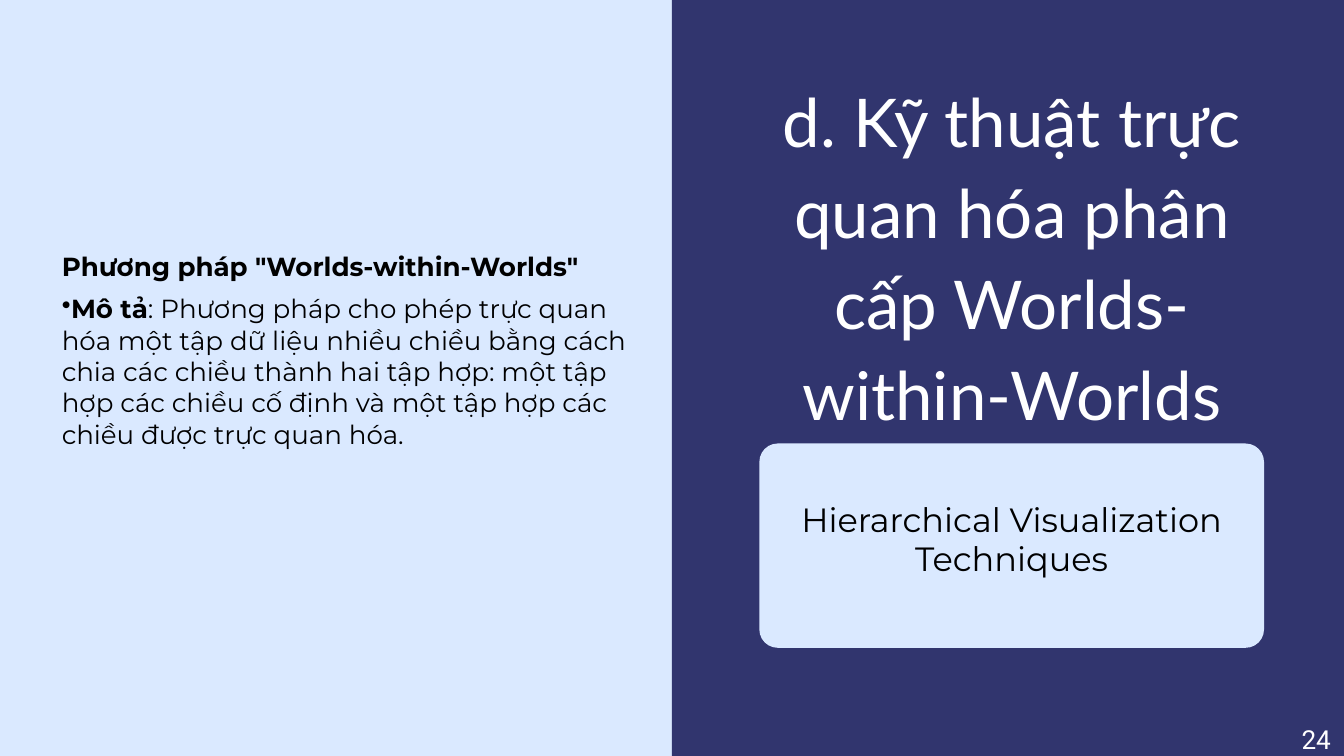
import pptx
import pptx.dml.color
import pptx.enum.shapes
import pptx.enum.text
import pptx.oxml.ns
import pptx.util
from dataclasses import dataclass
from lxml import etree

Inches = pptx.util.Inches
Pt = pptx.util.Pt
MSO_SHAPE = pptx.enum.shapes.MSO_SHAPE
MSO_ANCHOR = pptx.enum.text.MSO_ANCHOR
MSO_AUTO_SIZE = pptx.enum.text.MSO_AUTO_SIZE
PP_ALIGN = pptx.enum.text.PP_ALIGN


@dataclass(frozen=True)
class Theme:
    pale: str = "DAE9FF"
    navy: str = "31356E"
    black: str = "000000"
    white: str = "FFFFFF"
    heading: str = "Lato"
    body: str = "Montserrat"
    number: str = "Roboto"
    title_size: int = 72
    subtitle_size: int = 36
    body_size: int = 28


THEME = Theme()


def rgb(value):
    return pptx.dml.color.RGBColor.from_string(value)


def apply(target, formats):
    for name, value in formats.items():
        setattr(target, name, value)


def place(sp, box):
    names = ("left", "top", "width", "height")
    apply(sp, {name: Inches(value) for name, value in zip(names, box)})


def add_panel(s, kind, box, color):
    sp = s.shapes.add_shape(kind, *map(Inches, box))
    sp.shadow.inherit = False
    sp.fill.solid()
    sp.fill.fore_color.rgb = rgb(color)
    sp.line.fill.background()
    return sp


def set_frame(tf, inset=0, wrap=True):
    formats = {f"margin_{side}": Inches(inset) for side in ("left", "top", "right", "bottom")}
    formats.update(word_wrap=wrap, auto_size=MSO_AUTO_SIZE.NONE, vertical_anchor=MSO_ANCHOR.TOP)
    apply(tf, formats)


def add_run(p, text, font, size, color, bold=False):
    r = p.add_run()
    r.text = text
    apply(r.font, {"name": font, "size": Pt(size), "bold": bold})
    r.font.color.rgb = rgb(color)


def add_text(s, box, inset=0, wrap=True):
    sp = s.shapes.add_textbox(*map(Inches, box))
    set_frame(sp.text_frame, inset, wrap)
    return sp.text_frame


def add_bullet(p):
    pPr = p._p.get_or_add_pPr()
    apply_indent = {"marL": "0", "indent": "0"}
    for name, value in apply_indent.items():
        pPr.set(name, value)
    etree.SubElement(pPr, pptx.oxml.ns.qn("a:buChar")).set("char", "•")


def set_title(s, box, text):
    sp = s.shapes.title
    sp.element.getparent().append(sp.element)
    place(sp, box)
    set_frame(sp.text_frame)
    p = sp.text_frame.paragraphs[0]
    apply(p, {"alignment": PP_ALIGN.CENTER, "line_spacing": Pt(97.5)})
    add_run(p, text, THEME.heading, THEME.title_size, THEME.white)


def add_subtitle(s, box, text):
    p = add_text(s, box).paragraphs[0]
    apply(p, {"alignment": PP_ALIGN.CENTER, "line_spacing": Pt(41.8)})
    add_run(p, text, THEME.body, THEME.subtitle_size, THEME.black)


def add_description(s, box, heading, label, text):
    style = (THEME.body, THEME.body_size, THEME.black)
    tf = add_text(s, box)
    p = tf.paragraphs[0]
    apply(p, {"space_before": Pt(12), "space_after": Pt(12)})
    add_run(p, heading, *style, bold=True)
    p = tf.add_paragraph()
    p.space_after = Pt(12)
    add_bullet(p)
    add_run(p, label, *style, bold=True)
    add_run(p, text, *style)


def add_number(s, box, text):
    tf = add_text(s, box, wrap=False)
    apply(tf, {"margin_left": Inches(0.1), "margin_top": Inches(0.05)})
    add_run(tf.paragraphs[0], text, THEME.number, THEME.body_size, THEME.white)


def main():
    prs = pptx.Presentation()
    apply(prs, {"slide_width": Inches(20), "slide_height": Inches(11.25)})
    s = prs.slides.add_slide(prs.slide_layouts[5])
    s.background.fill.solid()
    s.background.fill.fore_color.rgb = rgb(THEME.pale)

    add_panel(s, MSO_SHAPE.RECTANGLE, (10, 0, 10, 11.25), THEME.navy)
    card = add_panel(s, MSO_SHAPE.ROUNDED_RECTANGLE, (11.3, 6.6, 7.51, 3.04), THEME.pale)
    card.adjustments[0] = 0.09
    add_subtitle(s, (11.67, 7.44, 6.77, 1.18), "Hierarchical Visualization Techniques")
    set_title(s, (11.4, 1.04, 7.32, 5.36),
              "d. Kỹ thuật trực quan hóa phân cấp Worlds-within-Worlds")
    add_description(
        s, (0.92, 3.72, 8.83, 4.11),
        'Phương pháp "Worlds-within-Worlds"',
        "Mô tả",
        ": Phương pháp cho phép trực quan hóa một tập dữ liệu nhiều chiều bằng cách "
        "chia các chiều thành hai tập hợp: một tập hợp các chiều cố định và một tập "
        "hợp các chiều được trực quan hóa.")
    add_number(s, (19.27, 10.71, 0.73, 0.57), "24")
    prs.save("out.pptx")


if __name__ == "__main__":
    main()
